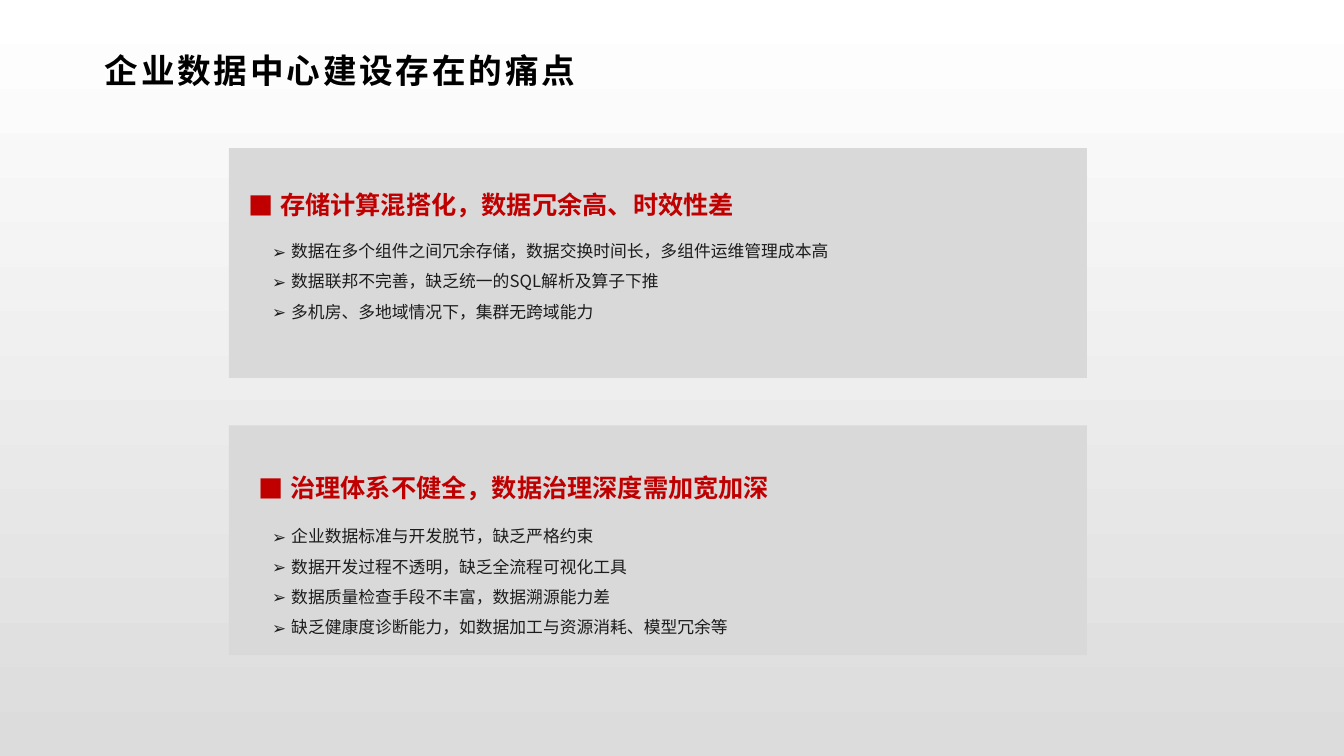
from lxml.etree import SubElement
from pptx import Presentation
from pptx.dml.color import RGBColor
from pptx.enum.shapes import MSO_SHAPE as Shape
from pptx.enum.text import MSO_ANCHOR as Anchor, MSO_AUTO_SIZE as AutoSize
from pptx.oxml.ns import qn
from pptx.util import Inches, Pt

FONT = "Noto Sans CJK SC"
WIDTH, HEIGHT = 13.33, 7.5
PANEL_LEFT, PANEL_TOP, PANEL_WIDTH, PANEL_HEIGHT = 2.27, 1.47, 8.51, 2.28
PANEL_PITCH = 2.75

# Heading and list offsets are measured from the panel's top left corner.
PANELS = [
    {
        "heading": "存储计算混搭化，数据冗余高、时效性差",
        "heading_box": (0.1, 0.27, 5.82, 0.4),
        "items": [
            "数据在多个组件之间冗余存储，数据交换时间长，多组件运维管理成本高",
            "数据联邦不完善，缺乏统一的SQL解析及算子下推",
            "多机房、多地域情况下，集群无跨域能力",
        ],
        "items_box": (0.33, 0.77, 7.96, 0.97),
    },
    {
        "heading": "治理体系不健全，数据治理深度需加宽加深",
        "heading_box": (0.2, 0.33, 5.39, 0.4),
        "items": [
            "企业数据标准与开发脱节，缺乏严格约束",
            "数据开发过程不透明，缺乏全流程可视化工具",
            "数据质量检查手段不丰富，数据溯源能力差",
            "缺乏健康度诊断能力，如数据加工与资源消耗、模型冗余等",
        ],
        "items_box": (0.33, 0.85, 8.92, 1.28),
    },
]


def color(value):
    return RGBColor.from_string(value)


def inches(box):
    return [Inches(length) for length in box]


def add_bullet(paragraph, character, indent):
    properties = paragraph._p.get_or_add_pPr()
    properties.set("marL", str(Inches(indent)))
    properties.set("indent", str(-Inches(indent)))
    SubElement(properties, qn("a:buFont"), typeface=FONT)
    SubElement(properties, qn("a:buChar"), char=character)


def add_text(shapes, box, lines, size, fill, bold=False, line_spacing=None,
             bullet=None, indent=0, letter_spacing=0, anchor=Anchor.TOP, grow=True):
    """Add a text box with one paragraph for each line."""
    text_box = shapes.add_textbox(*inches(box))
    frame = text_box.text_frame
    frame.word_wrap = True
    frame.auto_size = AutoSize.SHAPE_TO_FIT_TEXT if grow else AutoSize.NONE
    frame.vertical_anchor = anchor
    for index, line in enumerate(lines):
        paragraph = frame.add_paragraph() if index else frame.paragraphs[0]
        if line_spacing:
            paragraph.line_spacing = line_spacing
        if bullet:
            add_bullet(paragraph, bullet, indent)
        run = paragraph.add_run()
        run.text = line
        run.font.size, run.font.bold, run.font.name = Pt(size), bold, FONT
        run.font.color.rgb = color(fill)
        properties = run._r.get_or_add_rPr()
        SubElement(properties, qn("a:ea"), typeface=FONT)
        if letter_spacing:
            properties.set("spc", str(letter_spacing * 100))
    return text_box


def paint_background(slide):
    fill = slide.background.fill
    fill.gradient()
    fill.gradient_angle = 270
    for stop, (position, value) in zip(fill.gradient_stops, [(0, "FFFFFF"), (1, "DCDCDC")]):
        stop.position = position
        stop.color.rgb = color(value)


def add_title(slide, box, text):
    title = add_text(slide.shapes, box, [text], 24, "000000", bold=True,
                     letter_spacing=2, anchor=Anchor.MIDDLE, grow=False)
    frame = title.text_frame
    frame.margin_left, frame.margin_right = Inches(0.11), Inches(0.08)
    frame.margin_top = frame.margin_bottom = Inches(0.04)


def add_panel(slide, box, heading, heading_box, items, items_box):
    """Add a grouped grey panel with a red heading above a bulleted list."""
    left, top, _, _ = box

    def within(part):
        return left + part[0], top + part[1], part[2], part[3]

    shapes = slide.shapes.add_group_shape().shapes
    panel = shapes.add_shape(Shape.RECTANGLE, *inches(box))
    panel.shadow.inherit = False
    panel.fill.solid()
    panel.fill.fore_color.rgb = color("D9D9D9")
    panel.line.fill.background()
    add_text(shapes, within(heading_box), [heading], 18, "C00000", bold=True,
             line_spacing=1.3, bullet="■", indent=0.31)
    add_text(shapes, within(items_box), items, 12, "1C1C1C",
             line_spacing=1.5, bullet="➢", indent=0.19)


def main():
    presentation = Presentation()
    presentation.slide_width, presentation.slide_height = inches((WIDTH, HEIGHT))
    slide = presentation.slides.add_slide(presentation.slide_layouts[6])
    paint_background(slide)
    add_title(slide, (0.93, 0.34, 11.87, 0.71), "企业数据中心建设存在的痛点")
    for row, panel in enumerate(PANELS):
        box = (PANEL_LEFT, PANEL_TOP + row * PANEL_PITCH, PANEL_WIDTH, PANEL_HEIGHT)
        add_panel(slide, box, **panel)
    presentation.save("out.pptx")


if __name__ == "__main__":
    main()
